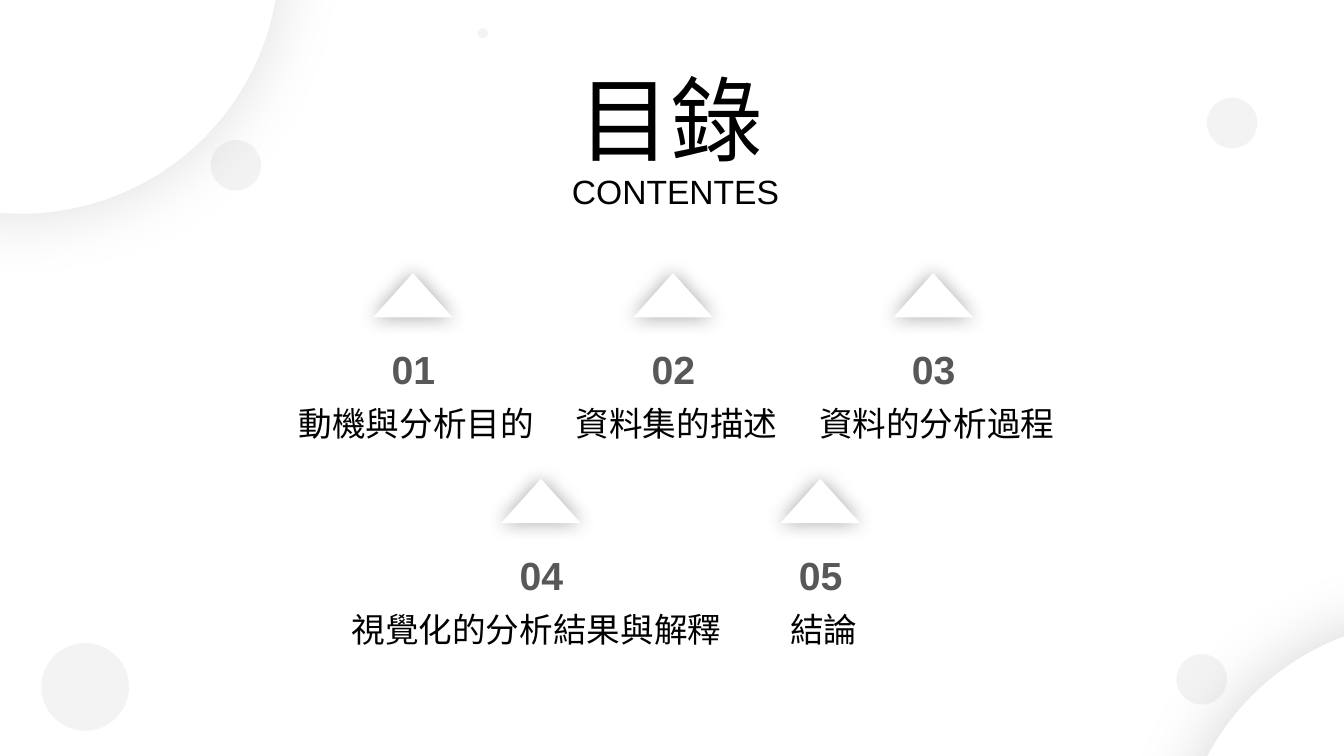
from lxml.etree import SubElement
from pptx import Presentation
from pptx.dml.color import RGBColor
from pptx.enum.shapes import MSO_SHAPE
from pptx.enum.text import MSO_ANCHOR, MSO_AUTO_SIZE, PP_ALIGN
from pptx.oxml.ns import qn
from pptx.util import Pt

PX = 9144  # 100 px to the inch
WHITE = RGBColor(0xFF, 0xFF, 0xFF)
BLACK = RGBColor(0x00, 0x00, 0x00)
NUMBER_GREY = RGBColor(0x58, 0x58, 0x58)
DOT_GREY = RGBColor(0x7E, 0x7E, 0x7E)
FONT = "Arial"

BIG_CIRCLES = [(-235, -300, 13), (1167, 615, 17)]  # left, top, shadow opacity
DOTS = [(1197, 97, 50), (41, 638, 87), (474, 28, 10), (209, 139, 50), (1167, 649, 50)]
TOP_ROW = ["動機與分析目的", "資料集的描述", "資料的分析過程"]


def px(*lengths):
    return [length * PX for length in lengths]


def add_plain_shape(page, kind, box, color):
    shape = page.shapes.add_shape(kind, *px(*box))
    shape.shadow.inherit = False
    shape.fill.solid()
    shape.fill.fore_color.rgb = color
    shape.line.fill.background()
    return shape


def add_glow_shadow(shape, opacity, blur):
    """Give the shape a black shadow without offset; opacity in percent, blur in points."""
    effects = shape.fill._xPr.find(qn("a:effectLst"))
    shadow = SubElement(effects, qn("a:outerShdw"), blurRad=str(Pt(blur)), dist="0",
                        dir="0", algn="ctr", rotWithShape="0")
    color = SubElement(shadow, qn("a:srgbClr"), val=str(BLACK))
    SubElement(color, qn("a:alpha"), val=str(opacity * 1000))


def add_dot(page, left, top, size):
    dot = add_plain_shape(page, MSO_SHAPE.OVAL, (left, top, size, size), DOT_GREY)
    color = dot.fill._xPr.find(qn("a:solidFill"))[0]
    SubElement(color, qn("a:alpha"), val="9000")


def write_centered(box, text, size, color=BLACK, bold=False):
    frame = box.text_frame
    frame.text = text
    frame.word_wrap = True
    frame.auto_size = MSO_AUTO_SIZE.SHAPE_TO_FIT_TEXT
    frame.vertical_anchor = MSO_ANCHOR.TOP
    para = frame.paragraphs[0]
    para.alignment = PP_ALIGN.CENTER
    font = para.runs[0].font
    font.name, font.size, font.bold = FONT, Pt(size), bold
    font.color.rgb = color


def add_text(page, box, text, size, color=BLACK, bold=False):
    write_centered(page.shapes.add_textbox(*px(*box)), text, size, color, bold)


def add_entry(page, center, top, number, label, label_left, label_width=272):
    """Stack a triangle, a number and a label."""
    triangle = add_plain_shape(page, MSO_SHAPE.ISOSCELES_TRIANGLE,
                               (center - 40, top, 79, 44), WHITE)
    add_glow_shadow(triangle, 35, 14)
    add_text(page, (center - 85, top + 67, 170, 57), f"{number:02}", 28, NUMBER_GREY, True)
    add_text(page, (label_left, top + 124, label_width, 50), label, 24)


def place_title(page, box, text):
    title = page.shapes.title
    title.left, title.top, title.width, title.height = px(*box)
    write_centered(title, text, 66)


def main():
    deck = Presentation()
    deck.slide_width, deck.slide_height = px(1333, 750)
    page = deck.slides.add_slide(deck.slide_layouts[5])

    for left, top, opacity in BIG_CIRCLES:
        circle = add_plain_shape(page, MSO_SHAPE.OVAL, (left, top, 512, 512), WHITE)
        add_glow_shadow(circle, opacity, 49)
    place_title(page, (409, 57, 512, 121), "目錄")
    add_text(page, (428, 165, 484, 50), "CONTENTES", 24)
    for dot in DOTS:
        add_dot(page, *dot)

    for index, label in enumerate(TOP_ROW):
        shift = index * 258
        add_entry(page, 410 + shift, 271, index + 1, label, 277 + shift)
    add_entry(page, 537, 475, 4, "視覺化的分析結果與解釋", 335, 394)
    add_entry(page, 814, 475, 5, "結論", 681)

    deck.save("out.pptx")


if __name__ == "__main__":
    main()
